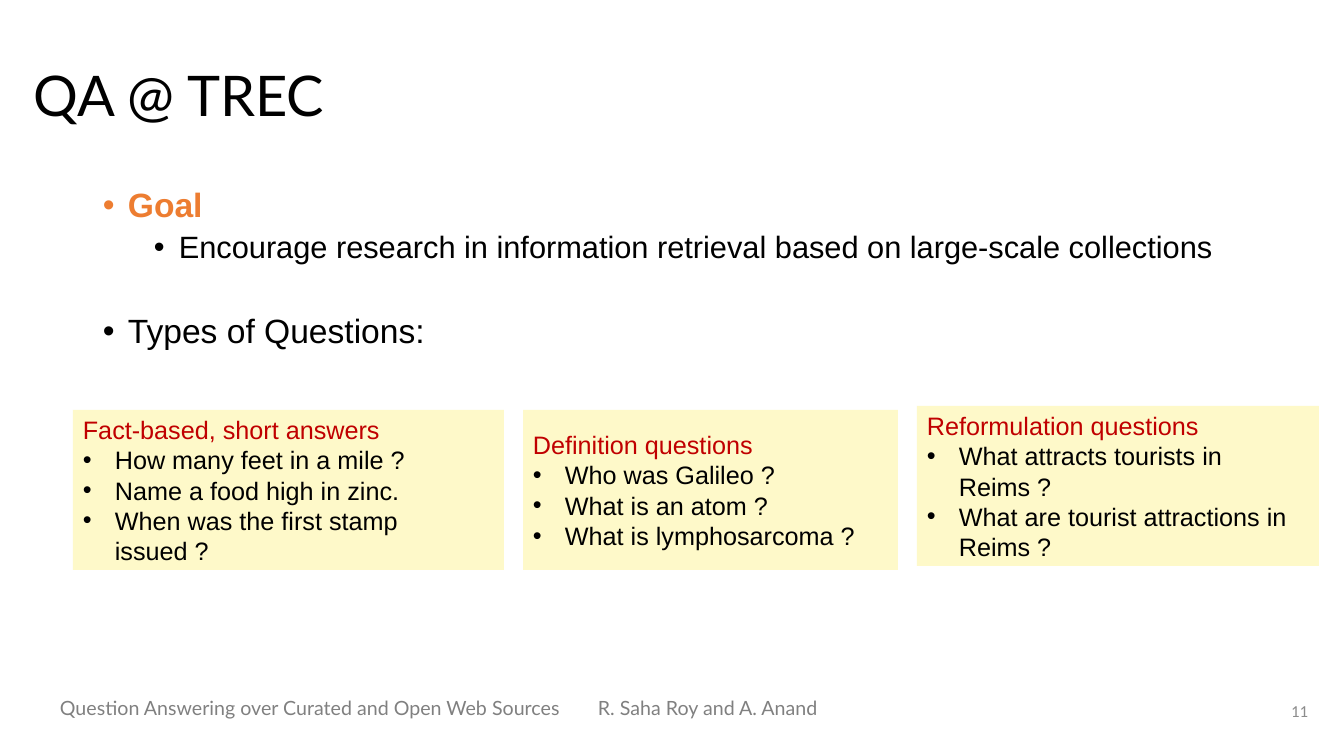
from lxml.etree import SubElement
from pptx import Presentation
from pptx.dml.color import RGBColor
from pptx.enum.shapes import MSO_SHAPE
from pptx.enum.text import MSO_ANCHOR, PP_ALIGN
from pptx.oxml.ns import qn
from pptx.util import Pt

SCALE = 914400 / 100.8
COLORS = {"text": "000000", "goal": "ED7D31", "heading": "C00000",
          "card": "FEF9C9", "footer": "808080", "number": "8C8C8C"}
CARDS = [
    (431, 0, "Fact-based, short answers",
     ["How many feet in a mile ?", "Name a food high in zinc.",
      "When was the first stamp issued ?"]),
    (375, 0, "Definition questions",
     ["Who was Galileo ?", "What is an atom ?", "What is lymphosarcoma ?"]),
    (402, -4, "Reformulation questions",
     ["What attracts tourists in Reims ?",
      "What are tourist attractions in Reims ?"]),
]


def px(n):
    return round(n * SCALE)


def add_text(tf, text, size=18, font="Arial", color="text", bold=False,
             align=PP_ALIGN.LEFT, level=0, margin=0, hang=0, before=0,
             spacing=1.0, tab=0):
    """Add one paragraph; a hanging indent gives it a bullet."""
    p = tf.paragraphs[0]
    if p.runs:
        p = tf.add_paragraph()
    p.level, p.alignment = level, align
    p.line_spacing, p.space_before, p.space_after = spacing, Pt(before), Pt(0)
    pPr = p._p.get_or_add_pPr()
    if hang:
        pPr.set("marL", str(px(margin)))
        pPr.set("indent", str(-px(hang)))
        SubElement(pPr, qn("a:buFont"), typeface="Arial")
        SubElement(pPr, qn("a:buChar"), char="•")
    if tab:
        tabs = SubElement(pPr, qn("a:tabLst"))
        SubElement(tabs, qn("a:tab"), pos=str(px(tab)), algn="l")
    r = p.add_run()
    r.text = text
    r.font.size, r.font.name, r.font.bold = Pt(size), font, bold
    r.font.color.rgb = RGBColor.from_string(COLORS[color])


def add_box(s, x, y, w, h, anchor=MSO_ANCHOR.TOP):
    tf = s.shapes.add_textbox(px(x), px(y), px(w), px(h)).text_frame
    tf.word_wrap, tf.vertical_anchor = True, anchor
    return tf


def add_title(s, x, y, w, h):
    tf = add_box(s, x, y, w, h, MSO_ANCHOR.MIDDLE)
    add_text(tf, "QA @ TREC", size=40, font="Lato", spacing=0.9)


def add_body(s, x, y, w, h):
    tf = add_box(s, x, y, w, h)
    top = dict(size=24, margin=25, hang=25, spacing=0.9)
    add_text(tf, "Goal", color="goal", bold=True, **top)
    add_text(tf, "Encourage research in information retrieval based on "
             "large-scale collections", size=22, level=1, margin=76, hang=25,
             before=5, spacing=0.9)
    add_text(tf, "Types of Questions:", before=35, **top)


def add_card(s, x, y, w, h, heading, questions):
    sp = s.shapes.add_shape(MSO_SHAPE.RECTANGLE, px(x), px(y), px(w), px(h))
    sp.shadow.inherit = False
    sp.fill.solid()
    sp.fill.fore_color.rgb = RGBColor.from_string(COLORS["card"])
    sp.line.fill.background()
    tf = sp.text_frame
    tf.word_wrap, tf.vertical_anchor = True, MSO_ANCHOR.MIDDLE
    add_text(tf, heading, color="heading")
    for question in questions:
        add_text(tf, question, margin=32, hang=32)


def add_cards(s, x, y, h, gap):
    for w, shift, heading, questions in CARDS:
        add_card(s, x, y + shift, w, h, heading, questions)
        x += w + gap


def add_footer(s, x, y, w, h):
    # Slide number at the right edge
    number_w = 71
    tf = add_box(s, x + w - number_w, y, number_w, h, MSO_ANCHOR.MIDDLE)
    add_text(tf, "11", size=12, font="Calibri", color="number",
             align=PP_ALIGN.RIGHT)
    # Tutorial name and authors
    tf = add_box(s, x, y, 1047, h)
    add_text(tf, "Question Answering over Curated and Open Web Sources\t"
             "R. Saha Roy and A. Anand", size=14, font="Lato",
             color="footer", tab=538)


def main():
    prs = Presentation()
    prs.slide_width, prs.slide_height = px(1344), px(756)
    s = prs.slides.add_slide(prs.slide_layouts[6])
    add_title(s, 24, 61, 1159, 74)
    add_body(s, 93, 184, 1159, 417)
    add_cards(s, 73, 410, 160, gap=19)
    add_footer(s, 50, 691, 1268, 40)
    prs.save("out.pptx")


if __name__ == "__main__":
    main()
